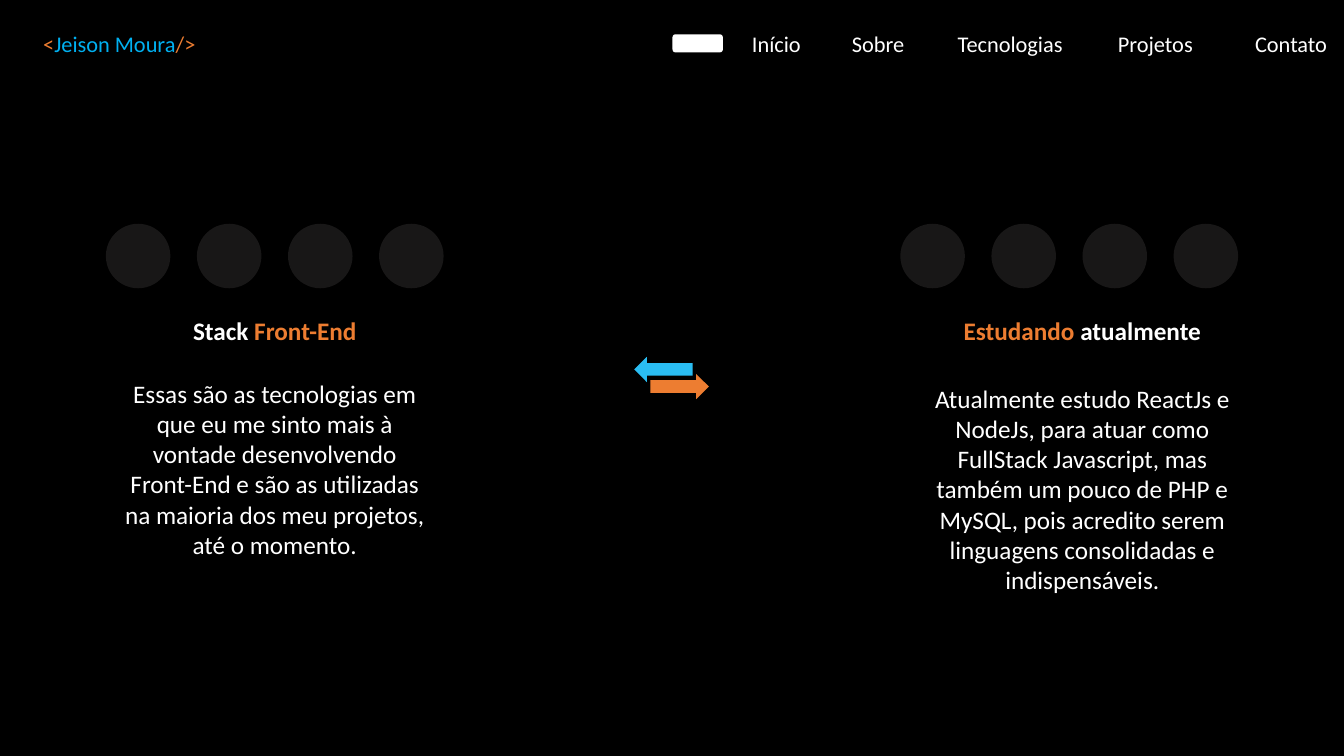
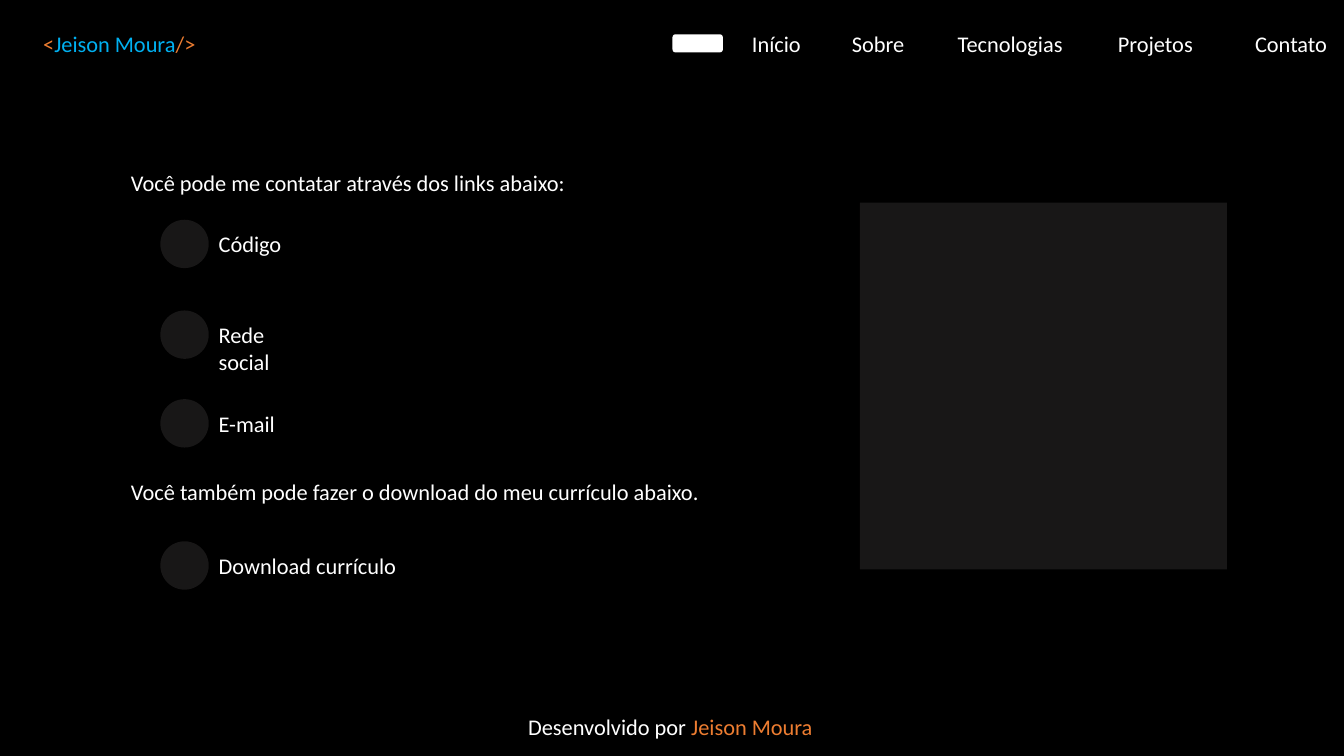
"""Build two dark portfolio slides: technology stacks and contact links."""
from lxml import etree
from pptx import Presentation
from pptx.dml.color import RGBColor
from pptx.enum.shapes import MSO_SHAPE
from pptx.enum.text import MSO_AUTO_SIZE, PP_ALIGN
from pptx.oxml.ns import qn
from pptx.util import Inches, Pt

BLACK = RGBColor(0x00, 0x00, 0x00)
WHITE = RGBColor(0xFF, 0xFF, 0xFF)
GRAY = RGBColor(0x18, 0x17, 0x17)
ORANGE = RGBColor(0xED, 0x7D, 0x31)
BLUE = RGBColor(0x00, 0xB0, 0xF0)
SKY = RGBColor(0x2A, 0xBD, 0xF2)

CIRCLE = MSO_SHAPE.OVAL
SQUARE = MSO_SHAPE.RECTANGLE
PILL = MSO_SHAPE.ROUNDED_RECTANGLE
LEFT_ARROW = MSO_SHAPE.LEFT_ARROW
RIGHT_ARROW = MSO_SHAPE.RIGHT_ARROW
LEFT, CENTER = PP_ALIGN.LEFT, PP_ALIGN.CENTER
GROW = MSO_AUTO_SIZE.SHAPE_TO_FIT_TEXT

FONT = "Calibri"
SMALL = {"name": FONT, "size": Pt(16), "bold": False}
BODY = {"name": FONT, "size": Pt(18), "bold": False}
HEADING = {**BODY, "bold": True}
LINE_HEIGHT = 0.37

AUTHOR = "Jeison Moura"
LOGO = [("<", ORANGE), (AUTHOR, BLUE), ("/>", ORANGE)]
MENU = ["Início", "Sobre", "Tecnologias", "Projetos", "Contato"]
MENU_TABS = [0.99, 2.04, 3.63, 4.99]

STACKS = [
    {
        "icons_left": 1.05, "text_left": 1.05, "text_top": 3.7, "text_height": 1.92,
        "heading": [("Stack ", WHITE), ("Front-End", ORANGE)],
        "body": [
            "Essas são as tecnologias em que eu me sinto mais à vontade desenvolvendo",
            "Front-End e são as utilizadas na maioria dos meu projetos, até o momento.",
        ],
    },
    {
        "icons_left": 8.93, "text_left": 9.06, "text_top": 3.75, "text_height": 2.22,
        "heading": [("Estudando", ORANGE), (" atualmente", WHITE)],
        "body": [
            "Atualmente estudo ReactJs e NodeJs, para atuar como FullStack Javascript, "
            "mas também um pouco de PHP e MySQL, pois acredito serem linguagens "
            "consolidadas e indispensáveis.",
        ],
    },
]
STACK_WIDTH = 3.35
ICON_COUNT, ICON_SIZE = 4, 0.64
ARROWS = [(LEFT_ARROW, 6.29, 3.54, SKY), (RIGHT_ARROW, 6.45, 3.71, ORANGE)]

PROMPTS = [
    ("Você pode me contatar através dos links abaixo:", 1.63, 4.56),
    ("Você também pode fazer o download do meu currículo abaixo.", 4.69, 5.91),
]
LINKS = [
    ("Código", 2.18, 0.85),
    ("Rede social", 3.08, 1.11),
    ("E-mail", 3.96, 0.77),
    ("Download currículo", 5.37, 2.05),
]
LINK_LEFT, LINK_SIZE = 1.59, 0.48
CREDIT = [("Desenvolvido por ", WHITE), (AUTHOR, ORANGE)]


def add_block(page, kind, left, top, width, height, color):
    block = page.shapes.add_shape(
        kind, Inches(left), Inches(top), Inches(width), Inches(height))
    block.shadow.inherit = False
    block.fill.solid()
    block.fill.fore_color.rgb = color
    block.line.fill.background()


def add_text(page, left, top, width, height, paragraphs, style, align=LEFT, wrap=False):
    box = page.shapes.add_textbox(
        Inches(left), Inches(top), Inches(width), Inches(height))
    frame = box.text_frame
    frame.word_wrap = wrap
    frame.auto_size = GROW
    for index, spans in enumerate(paragraphs):
        para = frame.add_paragraph() if index else frame.paragraphs[0]
        para.alignment = align
        for text, color in spans:
            span = para.add_run()
            span.text = text
            for name, value in style.items():
                setattr(span.font, name, value)
            span.font.color.rgb = color
    return frame


def add_line(page, left, top, width, spans):
    return add_text(page, left, top, width, LINE_HEIGHT, [spans], SMALL)


def add_menu(page):
    frame = add_text(page, 7.36, 0.25, 5.97, LINE_HEIGHT,
                     [[("\t".join(MENU), WHITE)]], SMALL, wrap=True)
    properties = frame.paragraphs[0]._p.get_or_add_pPr()
    tabs = etree.SubElement(properties, qn("a:tabLst"))
    for position in MENU_TABS:
        etree.SubElement(tabs, qn("a:tab"), pos=str(Inches(position)), algn="l")


def add_page(deck):
    page = deck.slides.add_slide(deck.slide_layouts[6])
    page.background.fill.solid()
    page.background.fill.fore_color.rgb = BLACK
    add_line(page, 0.33, 0.25, 1.75, LOGO)
    add_menu(page)
    add_block(page, PILL, 6.67, 0.34, 0.5, 0.18, WHITE)
    return page


def build_stacks(deck):
    page = add_page(deck)
    pitch = (STACK_WIDTH - ICON_SIZE) / (ICON_COUNT - 1)
    for stack in STACKS:
        for index in range(ICON_COUNT):
            add_block(page, CIRCLE, stack["icons_left"] + index * pitch, 2.22,
                      ICON_SIZE, ICON_SIZE, GRAY)
        add_text(page, stack["text_left"], 3.08, STACK_WIDTH, 0.4,
                 [stack["heading"]], HEADING, CENTER, True)
        add_text(page, stack["text_left"], stack["text_top"], STACK_WIDTH,
                 stack["text_height"], [[(text, WHITE)] for text in stack["body"]],
                 BODY, CENTER, True)
    for kind, left, top, color in ARROWS:
        add_block(page, kind, left, top, 0.58, 0.25, color)


def build_contact(deck):
    page = add_page(deck)
    for text, top, width in PROMPTS:
        add_line(page, 1.2, top, width, [(text, WHITE)])
    for text, top, width in LINKS:
        add_block(page, CIRCLE, LINK_LEFT, top, LINK_SIZE, LINK_SIZE, GRAY)
        add_line(page, LINK_LEFT + LINK_SIZE, top + (LINK_SIZE - LINE_HEIGHT) / 2,
                 width, [(text, WHITE)])
    add_block(page, SQUARE, 8.53, 2.01, 3.64, 3.64, GRAY)
    add_line(page, 5.14, 7.03, 3.06, CREDIT)


def main():
    deck = Presentation()
    deck.slide_width = Inches(13.33)
    deck.slide_height = Inches(7.5)
    build_stacks(deck)
    build_contact(deck)
    deck.save("out.pptx")


if __name__ == "__main__":
    main()
